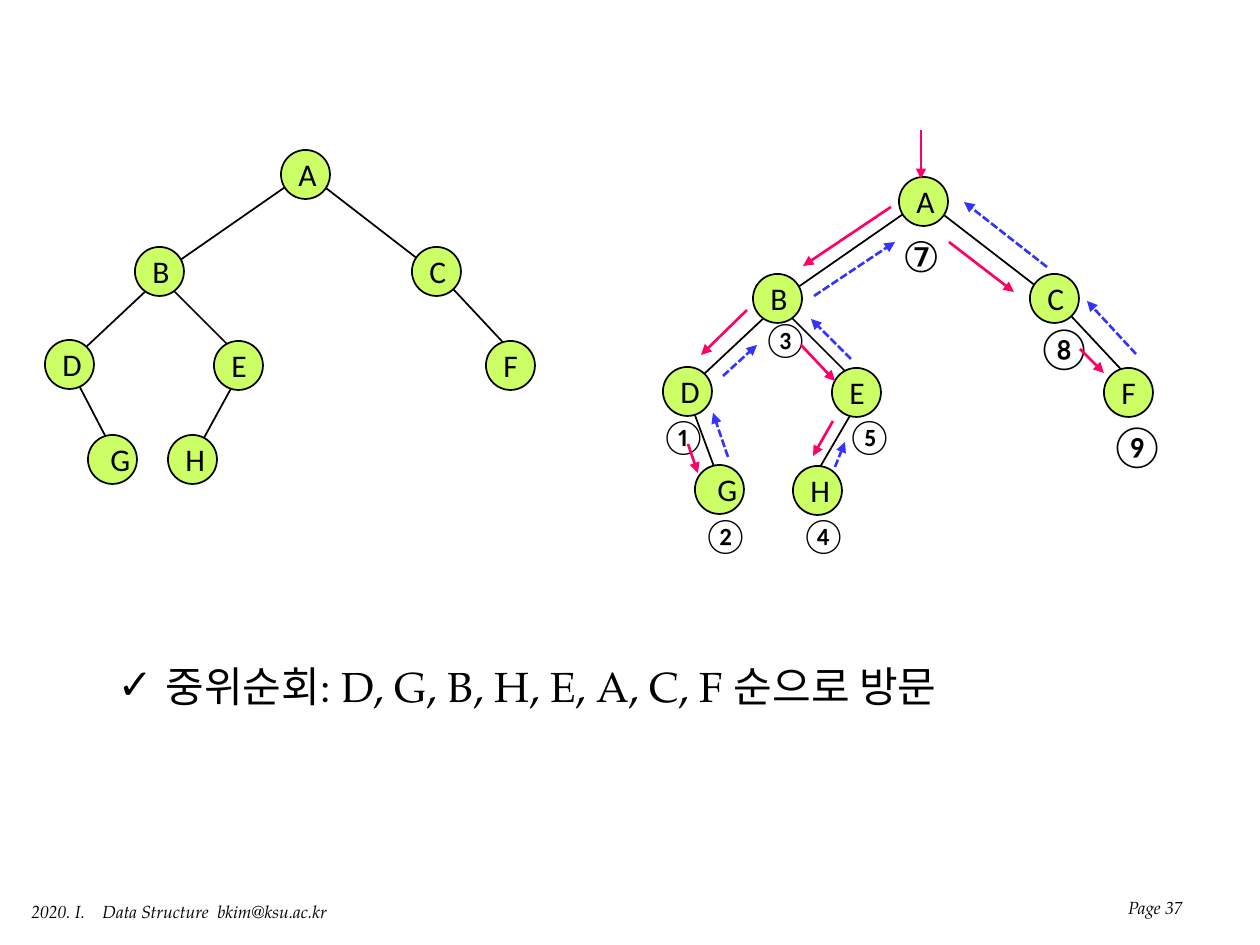
from pptx import Presentation
from pptx.dml.color import RGBColor
from pptx.enum.dml import MSO_LINE
from pptx.enum.shapes import MSO_CONNECTOR, MSO_SHAPE
from pptx.enum.text import MSO_ANCHOR, PP_ALIGN
from pptx.oxml.ns import qn
from pptx.util import Emu, Pt
from lxml import etree

SCALE = 914400 / 126
STRAIGHT, OVAL, DASH = MSO_CONNECTOR.STRAIGHT, MSO_SHAPE.OVAL, MSO_LINE.SQUARE_DOT
TOP, MIDDLE, BOTTOM = MSO_ANCHOR.TOP, MSO_ANCHOR.MIDDLE, MSO_ANCHOR.BOTTOM
LEFT, CENTER, RIGHT = PP_ALIGN.LEFT, PP_ALIGN.CENTER, PP_ALIGN.RIGHT
SERIF, SANS = "TeX Gyre Pagella", "Calibri"
BLACK, GREEN, RED, BLUE = "000000", "CCFF66", "FF0066", "3333FF"
NODE, LABEL_H = 49, 50

UPPER_NODES = [("A", 281, 150), ("B", 135, 247), ("C", 412, 247),
               ("D", 45, 340), ("E", 214, 341), ("F", 486, 341)]
UPPER_EDGES = [(304, 174, 163, 272), (309, 175, 436, 273), (163, 275, 68, 364),
               (168, 285, 237, 354), (440, 275, 527, 368)]
PLAIN_LEAVES = [("G", 88, 435), ("H", 168, 435)]
PLAIN_LEAF_EDGES = [(72, 372, 111, 447), (239, 374, 199, 447)]
VISITED_LEAVES = [("G", 695, 465), ("H", 793, 466)]
VISITED_LEAF_EDGES = [(689, 399, 716, 472), (858, 402, 816, 474)]
VISITED_SHIFT = (618, 27)

DESCENTS = [(921, 130, 921, 179), (891, 207, 803, 266), (747, 310, 701, 355),
            (688, 444, 698, 473), (801, 345, 835, 381), (833, 421, 813, 456),
            (949, 242, 1014, 292), (1080, 349, 1104, 373)]
RETURNS = [(728, 457, 713, 413), (723, 376, 757, 345), (851, 359, 811, 319),
           (835, 467, 845, 442), (814, 296, 895, 242), (1047, 267, 964, 202),
           (1136, 354, 1087, 301)]
VISITS = [("①", 648, 408, 20, SANS), ("②", 690, 507, 20, SANS),
          ("③", 750, 311, 20, SANS), ("④", 788, 507, 20, SANS),
          ("⑤", 834, 408, 20, SANS), ("⑦", 890, 224, 24, "Roboto"),
          ("⑧", 1024, 315, 24, SANS), ("⑨", 1097, 413, 24, SANS)]


def px(n):
    """Turn pixels into EMU."""
    return Emu(round(n * SCALE))


def color(value):
    """Turn a hex string into a colour."""
    return RGBColor.from_string(value)


def write(tf, text, size=18, font=SANS, align=LEFT, anchor=TOP, wrap=True, italic=False):
    """Put one formatted paragraph into a text frame."""
    tf.word_wrap, tf.vertical_anchor = wrap, anchor
    p = tf.paragraphs[0]
    p.alignment, p.space_before = align, Pt(0)
    r = p.add_run()
    r.text = text
    r.font.size, r.font.name, r.font.italic = Pt(size), font, italic
    r.font.color.rgb = color(BLACK)


class TreeSlide:
    """Hold the style and the current slide."""

    def __init__(self, slide):
        self.slide = slide
        self.shapes = slide.shapes

    def text(self, text, x, y, w, h, **fmt):
        """Add a text box."""
        sp = self.shapes.add_textbox(px(x), px(y), px(w), px(h))
        write(sp.text_frame, text, **fmt)

    def line(self, x1, y1, x2, y2, stroke=BLACK, width=1, dash=None, arrow=False):
        """Add a straight line or an arrow."""
        cn = self.shapes.add_connector(STRAIGHT, px(x1), px(y1), px(x2), px(y2))
        cn.line.color.rgb = color(stroke)
        cn.line.width = Pt(width)
        if dash:
            cn.line.dash_style = dash
        props = cn._element.spPr
        if arrow:
            etree.SubElement(props.find(qn("a:ln")), qn("a:tailEnd"), type="triangle")
        etree.SubElement(props, qn("a:effectLst"))

    def node(self, name, x, y):
        """Add a tree node's circle and its letter."""
        sp = self.shapes.add_shape(OVAL, px(x), px(y), px(NODE), px(NODE))
        sp.shadow.inherit = False
        sp.fill.solid()
        sp.fill.fore_color.rgb = color(GREEN)
        sp.line.color.rgb = color(BLACK)
        sp.line.width = Pt(1)
        dx, w = (10, 34) if name == "G" else (5, 39)
        self.text(name, x + dx, y - 1, w, LABEL_H, align=CENTER, anchor=MIDDLE)

    def tree(self, leaves, leaf_edges, dx=0, dy=0):
        """Add a tree whose upper part is shifted by dx and dy."""
        edges = [(a + dx, b + dy, c + dx, d + dy) for a, b, c, d in UPPER_EDGES]
        for edge in leaf_edges + edges:
            self.line(*edge)
        for name, x, y in [(n, x + dx, y + dy) for n, x, y in UPPER_NODES] + leaves:
            self.node(name, x, y)

    def bullet(self, text, x, y, w, h, mark, indent, **fmt):
        """Fill the body placeholder with one bulleted line."""
        sp = self.slide.placeholders[1]
        sp.left, sp.top, sp.width, sp.height = px(x), px(y), px(w), px(h)
        props = sp.text_frame.paragraphs[0]._p.get_or_add_pPr()
        props.set("marL", str(px(indent)))
        props.set("indent", str(-px(indent)))
        etree.SubElement(props, qn("a:buChar"), char=mark)
        write(sp.text_frame, text, **fmt)


def main():
    """Build the inorder traversal slide."""
    prs = Presentation()
    prs.slide_width, prs.slide_height = px(1260), px(945)
    s = TreeSlide(prs.slides.add_slide(prs.slide_layouts[1]))
    title = s.shapes.title._element
    title.getparent().remove(title)

    s.tree(PLAIN_LEAVES, PLAIN_LEAF_EDGES)
    s.tree(VISITED_LEAVES, VISITED_LEAF_EDGES, *VISITED_SHIFT)
    for text, x, y, size, font in VISITS:
        w, h = (60, 55) if size == 20 else (63, 63)
        s.text(text, x, y, w, h, size=size, font=font, wrap=False)
    for ends in DESCENTS:
        s.line(*ends, stroke=RED, width=1.5, arrow=True)
    for ends in RETURNS:
        s.line(*ends, stroke=BLUE, width=1.5, dash=DASH, arrow=True)

    s.bullet("중위순회: D, G, B, H, E, A, C, F 순으로 방문", 105, 654, 998, 63,
             mark="✓", indent=48, size=24, font=SERIF)
    s.text("2020. I.    Data Structure  bkim@ksu.ac.kr", 19, 895, 325, 34,
           size=10, font=SERIF, italic=True, wrap=False)
    s.text("Page 37", 966, 861, 229, 63, size=10, font=SERIF, italic=True,
           align=RIGHT, anchor=BOTTOM)
    prs.save("out.pptx")


if __name__ == "__main__":
    main()
